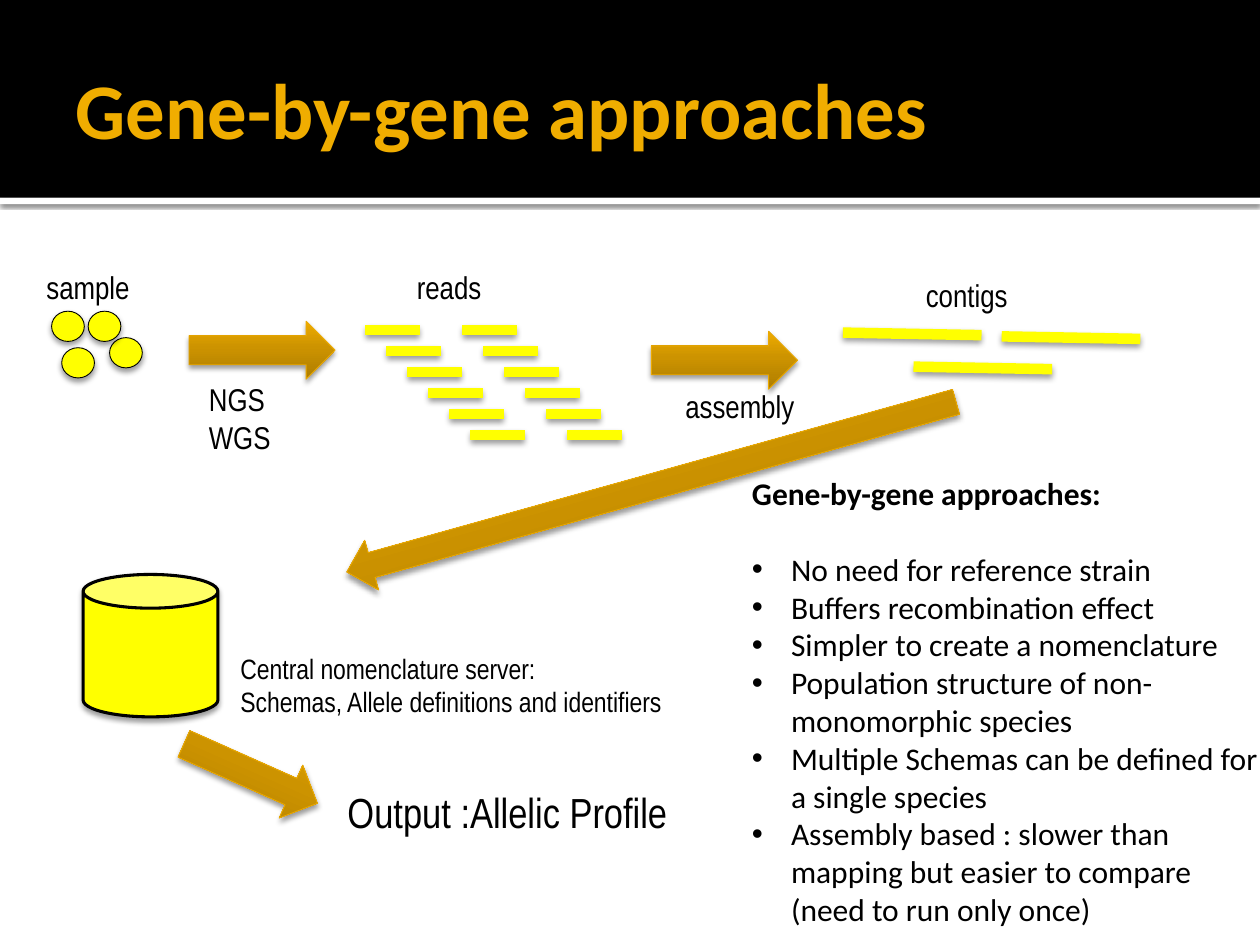
from dataclasses import dataclass

from lxml import etree
from pptx import Presentation
from pptx.dml.color import RGBColor
from pptx.enum import shapes, text
from pptx.oxml import ns
from pptx.util import Inches, Pt


@dataclass(frozen=True)
class Theme:
    black: str = "000000"
    white: str = "FFFFFF"
    yellow: str = "FFFF00"
    gold: str = "F0AD00"
    arrow_edge: str = "EBA900"
    arrow_stops: tuple = ((0, "AE7D00"), (55, "CC9300"), (100, "EEAB00"))
    heading_font: str = "Calibri"
    label_font: str = "Arial Narrow"
    title_size: int = 45
    output_size: int = 24
    body_size: int = 18
    server_size: int = 16


THEME = Theme()
SHAPE = shapes.MSO_SHAPE


def rgb(value):
    return RGBColor.from_string(value)


def add_node(parent, tag, **attributes):
    node = etree.SubElement(parent, ns.qn(tag))
    for name, value in attributes.items():
        node.set(name, str(value))
    return node


def add_color(parent, value):
    return add_node(parent, "a:srgbClr", val=value)


def add_shadow(item, blur=3.1, distance=2, opacity=38):
    effects = add_node(item._element.spPr, "a:effectLst")
    shadow = add_node(effects, "a:outerShdw", blurRad=Pt(blur), dist=Pt(distance),
                      dir=5400000, algn="ctr", rotWithShape=0)
    add_node(add_color(shadow, THEME.black), "a:alpha", val=opacity * 1000)


def add_solid(page, kind, place, color, edge=None, width=0.5):
    shape = page.shapes.add_shape(kind, *map(Inches, place))
    shape.fill.solid()
    shape.fill.fore_color.rgb = rgb(color)
    if edge:
        shape.line.color.rgb = rgb(edge)
        shape.line.width = Pt(width)
    else:
        shape.line.fill.background()
    return shape


def add_arrow(page, kind, place, rotation=0):
    arrow = add_solid(page, kind, place, THEME.gold, THEME.arrow_edge)
    arrow.rotation = rotation
    arrow.fill.gradient()
    gradient = arrow._element.spPr.find(ns.qn("a:gradFill"))
    for child in list(gradient):
        gradient.remove(child)
    stops = add_node(gradient, "a:gsLst")
    for position, color in THEME.arrow_stops:
        add_color(add_node(stops, "a:gs", pos=position * 1000), color)
    add_node(gradient, "a:lin", ang=270 * 60000, scaled=0)
    add_shadow(arrow)


def add_strand(page, left, top, length, drop=0):
    strand = page.shapes.add_connector(
        shapes.MSO_CONNECTOR.STRAIGHT,
        Inches(left), Inches(top), Inches(left + length), Inches(top + drop))
    strand.line.color.rgb = rgb(THEME.yellow)
    strand.line.width = Pt(6)
    add_shadow(strand, blur=3.5)


def add_text(page, place, content, size, font=THEME.label_font,
             color=THEME.black, bold=False, wrap=False):
    box = page.shapes.add_textbox(*map(Inches, place))
    frame = box.text_frame
    frame.text = content
    frame.word_wrap = wrap
    for para in frame.paragraphs:
        for span in para.runs:
            span.font.name = font
            span.font.size = Pt(size)
            span.font.bold = bold
            span.font.color.rgb = rgb(color)
    return frame


def add_bullet(para):
    properties = para._p.get_or_add_pPr()
    properties.set("marL", str(Inches(0.31)))
    properties.set("indent", str(Inches(-0.31)))
    add_node(properties, "a:buFont", typeface="Arial")
    add_node(properties, "a:buChar", char="•")


def add_header(page):
    rule = add_solid(page, SHAPE.RECTANGLE, (0, 1.57, 10, 0.05), THEME.white)
    add_shadow(rule, blur=2.5, distance=0.8, opacity=60)
    band = add_solid(page, SHAPE.RECTANGLE, (0, 0, 10, 1.57), THEME.black)
    band.shadow.inherit = False
    title = add_text(page, (0.5, 0.17, 9, 1.37), "Gene-by-gene approaches",
                     THEME.title_size, THEME.heading_font, THEME.gold, True, True)
    title.vertical_anchor = text.MSO_ANCHOR.MIDDLE
    title.margin_right = Inches(0.05)


def add_pipeline(page):
    server = add_solid(page, SHAPE.CAN, (0.66, 4.56, 1.07, 1.13),
                       THEME.yellow, THEME.black, 1.75)
    add_shadow(server)
    for left, top in ((0.41, 2.47), (0.49, 2.76), (0.87, 2.68), (0.7, 2.47)):
        cell = add_solid(page, SHAPE.OVAL, (left, top, 0.26, 0.24),
                         THEME.yellow, THEME.black)
        add_shadow(cell)
    for left, top in ((1.5, 2.55), (5.17, 2.63)):
        add_arrow(page, SHAPE.RIGHT_ARROW, (left, top, 1.16, 0.46))
    for left, top in ((6.69, 2.64), (7.25, 2.91), (7.95, 2.67)):
        add_strand(page, left, top, 1.1, 0.02)
    for column in (3.67, 2.9):
        for row in range(6):
            shift = row / 6
            add_strand(page, column + shift, 2.62 + shift, 0.43)


def add_labels(page):
    for place, content, size in (
        ((1.81, 5.12, 3.59, 0.64),
         "Central nomenclature server:\nSchemas, Allele definitions and identifiers",
         THEME.server_size),
        ((0.27, 2.08, 0.87, 0.4), "sample", THEME.body_size),
        ((1.56, 2.97, 0.7, 0.71), "NGS\nWGS", THEME.body_size),
        ((3.21, 2.08, 0.72, 0.4), "reads", THEME.body_size),
        ((5.34, 3.02, 1.08, 0.4), "assembly", THEME.body_size),
        ((7.25, 2.14, 0.86, 0.4), "contigs", THEME.body_size),
        ((2.66, 6.19, 2.76, 0.51), "Output :Allelic Profile", THEME.output_size),
    ):
        add_text(page, place, content, size)


def add_benefits(page):
    lines = (
        "Gene-by-gene approaches:",
        "No need for reference strain",
        "Buffers recombination effect",
        "Simpler to create a nomenclature",
        "Population structure of non-monomorphic species",
        "Multiple Schemas can be defined for a single species",
        "Assembly based : slower than mapping but easier to compare "
        "(need to run only once)",
    )
    frame = add_text(page, (5.87, 3.71, 4.24, 4.04), "\n".join(lines),
                     THEME.body_size, THEME.heading_font, wrap=True)
    heading, *bullets = frame.paragraphs
    heading.runs[0].font.bold = True
    heading.space_after = Pt(22)
    for para in bullets:
        add_bullet(para)


def main():
    deck = Presentation()
    deck.slide_width, deck.slide_height = Inches(10), Inches(7.5)
    page = deck.slides.add_slide(deck.slide_layouts[6])
    add_header(page)
    add_pipeline(page)
    add_labels(page)
    add_arrow(page, SHAPE.LEFT_ARROW, (2.66, 3.66, 5.02, 0.41), 344.4)
    add_arrow(page, SHAPE.RIGHT_ARROW, (1.41, 5.91, 1.16, 0.46), 24)
    add_benefits(page)
    deck.save("out.pptx")


if __name__ == "__main__":
    main()
